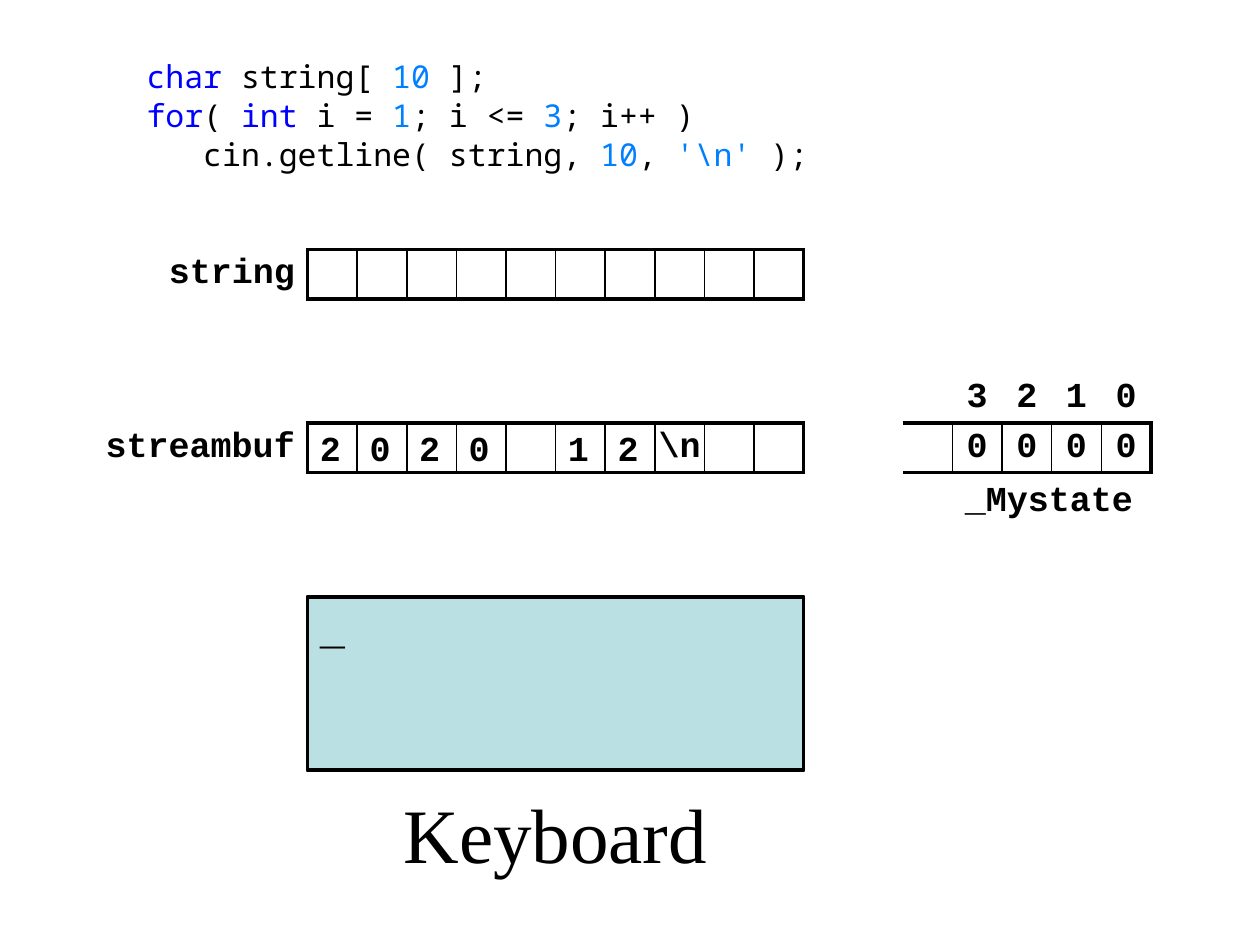
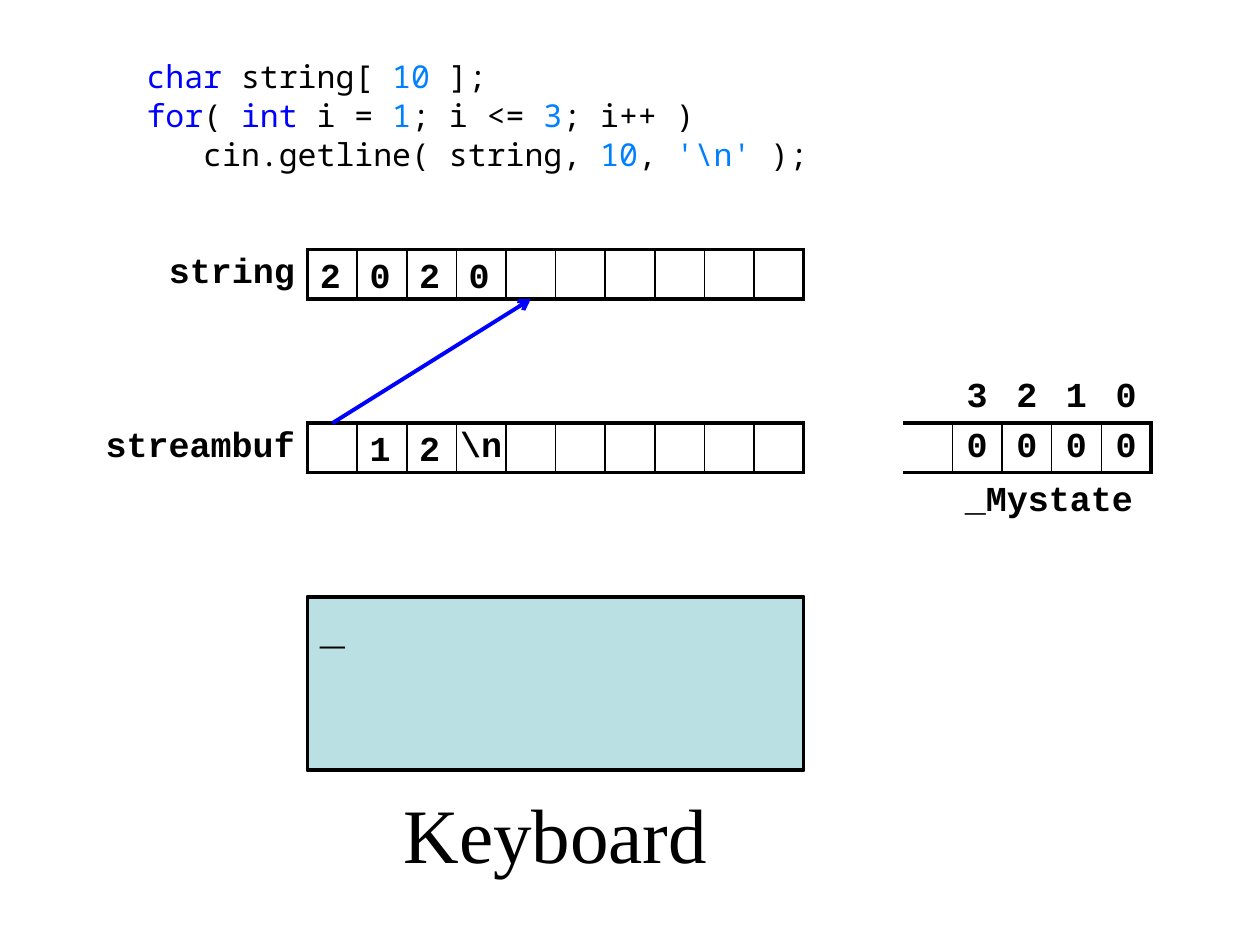
import pptx
import pptx.dml.color
import pptx.enum.shapes
import pptx.enum.text
import pptx.oxml
import pptx.oxml.ns
import pptx.util

# Content
KEYWORD, LITERAL, BLACK, SCREEN = "0000FF", "0080FF", "000000", "BBE0E3"
CODE_FONT, CELL_FONT, CAPTION_FONT = "Noto Sans Mono", "Courier New", "Times New Roman"

CODE = [
    [("char", KEYWORD), (" string[ ", BLACK), ("10", LITERAL), (" ];", BLACK)],
    [("for", KEYWORD), ("( ", BLACK), ("int", KEYWORD), (" i = ", BLACK),
     ("1", LITERAL), ("; i <= ", BLACK), ("3", LITERAL), ("; i++ )", BLACK)],
    [("   cin.getline( string, ", BLACK), ("10", LITERAL), (", ", BLACK),
     ("'\\n'", LITERAL), (" );", BLACK)],
]
NEWLINE = "\\n"
STEPS = [
    {"string": [], "streambuf": ["2", "0", "2", "0", "", "1", "2", NEWLINE], "arrow": None},
    {"string": ["2", "0", "2", "0"], "streambuf": ["", "1", "2", NEWLINE], "arrow": (0, 4)},
]
STATE_BITS = ["", "3", "2", "1", "0"]
STATE_VALUES = ["", "0", "0", "0", "0"]

# Grid in centimetres: every cell is 1 by 1
LENGTH = 10
ARRAY_LEFT = 6.2
STRING_TOP, ROW_STEP = 5.03, 3.5
BUFFER_TOP = STRING_TOP + ROW_STEP
KEYBOARD_TOP = BUFFER_TOP + ROW_STEP
KEYBOARD_HEIGHT = 3.5
STATE_LEFT = ARRAY_LEFT + LENGTH + 2
THICK, THIN = 2.25, 1

cm = pptx.util.Cm
ALIGN = pptx.enum.text.PP_ALIGN
ANCHOR = pptx.enum.text.MSO_ANCHOR


def color(value):
    return pptx.dml.color.RGBColor.from_string(value)


def box(left, top, width, height):
    return cm(left), cm(top), cm(width), cm(height)


def add_run(paragraph, text, size, font, fill=BLACK, bold=False):
    run = paragraph.add_run()
    run.text = text
    run.font.size = pptx.util.Pt(size)
    run.font.name = font
    run.font.bold = bold
    run.font.color.rgb = color(fill)


def set_margins(target, left, top, right, bottom):
    target.margin_left, target.margin_top = pptx.util.Inches(left), pptx.util.Inches(top)
    target.margin_right, target.margin_bottom = pptx.util.Inches(right), pptx.util.Inches(bottom)


def add_label(slide, place, text, size=20, font=CELL_FONT, bold=True, inset=0.05,
              wrap=True, align=ALIGN.LEFT):
    frame = slide.shapes.add_textbox(*place).text_frame
    frame.word_wrap = wrap
    frame.vertical_anchor = ANCHOR.MIDDLE
    set_margins(frame, 0.1, inset, 0.1, inset)
    frame.paragraphs[0].alignment = align
    add_run(frame.paragraphs[0], text, size, font, bold=bold)


def set_borders(cell, widths):
    """Put left, right, top and bottom lines in a cell; 0 means no line."""
    cell.fill.background()
    properties = cell._tc.get_or_add_tcPr()
    for index, (side, width) in enumerate(zip("LRTB", widths)):
        paint = f'<a:solidFill><a:srgbClr val="{BLACK}"/></a:solidFill>' if width else "<a:noFill/>"
        properties.insert(index, pptx.oxml.parse_xml(
            f'<a:ln{side} {pptx.oxml.ns.nsdecls("a")} w="{int(width * 12700)}">{paint}</a:ln{side}>'))


def add_array(slide, left, top, rows, first_boxed, label_width=1):
    """Draw a table whose last row is boxed from column first_boxed on."""
    count, last = len(rows[0]), len(rows) - 1
    table = slide.shapes.add_table(
        len(rows), count, *box(left, top, label_width + count - 1, len(rows))).table
    table.first_row = table.horz_banding = False
    for column in range(count):
        table.columns[column].width = cm(1 if column else label_width)
    for row, texts in enumerate(rows):
        table.rows[row].height = cm(1)
        for column, text in enumerate(texts):
            cell = table.cell(row, column)
            is_label = column < first_boxed
            set_margins(cell, 0, 0, 0.1 if is_label else 0, 0)
            cell.vertical_anchor = ANCHOR.MIDDLE
            paragraph = cell.text_frame.paragraphs[0]
            paragraph.alignment = ALIGN.RIGHT if is_label else ALIGN.CENTER
            if text:
                add_run(paragraph, text, 20, CELL_FONT, bold=True)
            if row < last:
                widths = (0, 0, 0, 0 if is_label else THICK)
            elif is_label:
                widths = (0, THICK, 0, 0)
            else:
                start = 0 if column == 0 else THICK if column == first_boxed else THIN
                end = THICK if column == count - 1 else THIN
                widths = (start, end, THICK, THICK)
            set_borders(cell, widths)


def add_digits(slide, top, values):
    for index, value in enumerate(values):
        if value not in ("", NEWLINE):
            add_label(slide, box(ARRAY_LEFT + index, top, 1, 1), value)


def add_code(slide):
    slide.shapes.title.element.getparent().remove(slide.shapes.title.element)
    body = slide.placeholders[1]
    body.left, body.top, body.width, body.height = box(2.7, 1.02, 14, 3)
    frame = body.text_frame
    frame.auto_size = pptx.enum.text.MSO_AUTO_SIZE.NONE
    set_margins(frame, 0.1, 0.05, 0.04, 0.05)
    for index, line in enumerate(CODE):
        paragraph = frame.add_paragraph() if index else frame.paragraphs[0]
        paragraph.line_spacing = 1.0
        paragraph.space_before = pptx.util.Pt(0.6)
        properties = paragraph._p.get_or_add_pPr()
        properties.set("marL", "0")
        properties.set("indent", "0")
        properties.append(pptx.oxml.parse_xml(f'<a:buNone {pptx.oxml.ns.nsdecls("a")}/>'))
        for text, fill in line:
            add_run(paragraph, text, 18, CODE_FONT, fill)


def add_keyboard(slide):
    screen = slide.shapes.add_shape(
        pptx.enum.shapes.MSO_SHAPE.RECTANGLE,
        *box(ARRAY_LEFT, KEYBOARD_TOP, LENGTH, KEYBOARD_HEIGHT))
    screen.shadow.inherit = False
    screen.fill.solid()
    screen.fill.fore_color.rgb = color(SCREEN)
    screen.line.color.rgb = color(BLACK)
    screen.line.width = pptx.util.Pt(THICK)
    frame = screen.text_frame
    frame.vertical_anchor = ANCHOR.TOP
    frame.paragraphs[0].alignment = ALIGN.LEFT
    add_run(frame.paragraphs[0], "_", 24, CELL_FONT, bold=True)
    caption = box(ARRAY_LEFT + 1.5, KEYBOARD_TOP + KEYBOARD_HEIGHT, LENGTH - 3, 2.5)
    add_label(slide, caption, "Keyboard", 44, CAPTION_FONT, bold=False,
              wrap=False, align=ALIGN.CENTER)


def add_arrow(slide, source, target):
    """Point from the top of a buffer cell to the bottom of a string cell."""
    arrow = slide.shapes.add_connector(
        pptx.enum.shapes.MSO_CONNECTOR.STRAIGHT,
        cm(ARRAY_LEFT + source + 0.5), cm(BUFFER_TOP),
        cm(ARRAY_LEFT + target + 0.5), cm(STRING_TOP + 1))
    arrow.line.color.rgb = color(KEYWORD)
    arrow.line.width = pptx.util.Pt(THICK)
    namespace = pptx.oxml.ns.nsdecls("a")
    arrow.line._get_or_add_ln().append(
        pptx.oxml.parse_xml(f'<a:tailEnd {namespace} type="arrow"/>'))
    arrow.element.spPr.append(pptx.oxml.parse_xml(f"<a:effectLst {namespace}/>"))


def build_step(presentation, step):
    slide = presentation.slides.add_slide(presentation.slide_layouts[1])
    add_code(slide)

    # Arrays with their name in the first column
    newlines = [value if value == NEWLINE else "" for value in step["streambuf"]]
    newlines += [""] * (LENGTH - len(newlines))
    add_array(slide, ARRAY_LEFT - 5.5, BUFFER_TOP - 1,
              [[""] * (LENGTH + 1), ["streambuf"] + newlines], 1, 5.5)
    add_array(slide, ARRAY_LEFT - 3, STRING_TOP, [["string"] + [""] * LENGTH], 1, 3)
    add_keyboard(slide)
    add_digits(slide, STRING_TOP, step["string"])
    add_digits(slide, BUFFER_TOP, step["streambuf"])
    if step["arrow"]:
        add_arrow(slide, *step["arrow"])

    # State bits
    add_label(slide, box(STATE_LEFT + 1, BUFFER_TOP + 1, 4, 1), "_Mystate", inset=0)
    add_array(slide, STATE_LEFT, BUFFER_TOP - 1, [STATE_BITS, STATE_VALUES], 0)


def main():
    presentation = pptx.Presentation()
    presentation.slide_width = pptx.util.Inches(10)
    presentation.slide_height = pptx.util.Inches(7.5)
    for step in STEPS:
        build_step(presentation, step)
    presentation.save("out.pptx")


if __name__ == "__main__":
    main()
